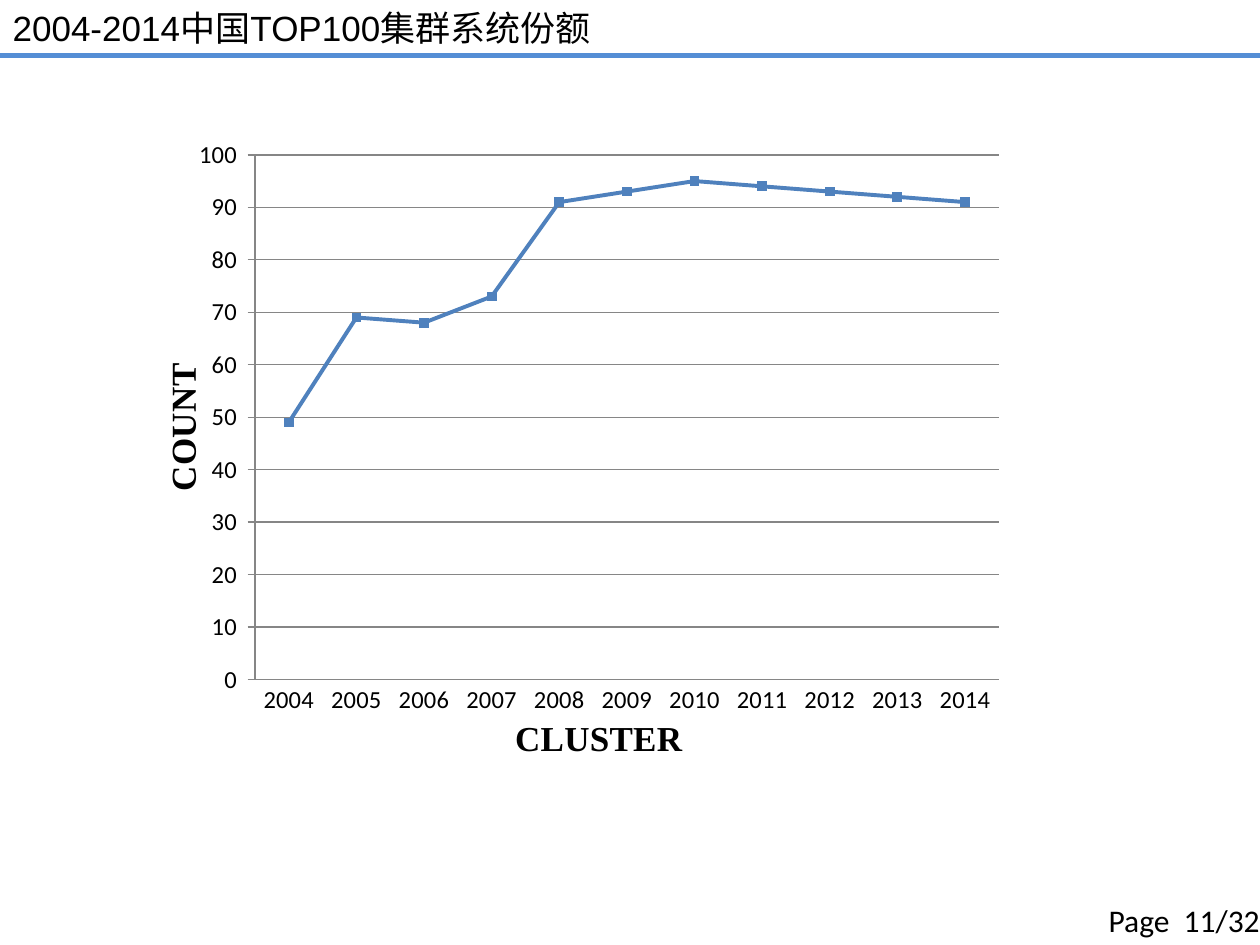
from dataclasses import dataclass
from typing import Any

from lxml import etree
from pptx import Presentation
from pptx.chart.data import CategoryChartData
from pptx.dml.color import RGBColor
from pptx.enum.chart import XL_CHART_TYPE, XL_MARKER_STYLE, XL_TICK_MARK
from pptx.enum.shapes import MSO_CONNECTOR
from pptx.enum.text import MSO_ANCHOR, MSO_AUTO_SIZE, PP_ALIGN
from pptx.oxml import parse_xml
from pptx.oxml.ns import nsdecls, qn
from pptx.util import Cm, Pt

STACKED = XL_CHART_TYPE.LINE_MARKERS_STACKED
SQUARE = XL_MARKER_STYLE.SQUARE
NONE, CROSS = XL_TICK_MARK.NONE, XL_TICK_MARK.CROSS
STRAIGHT = MSO_CONNECTOR.STRAIGHT
MIDDLE, LEFT = MSO_ANCHOR.MIDDLE, PP_ALIGN.LEFT
NO_FIT = MSO_AUTO_SIZE.NONE

BLACK = RGBColor(0x00, 0x00, 0x00)
RULE = RGBColor(0x55, 0x8E, 0xD5)
BLUE = RGBColor(0x4F, 0x81, 0xBD)
GRAY = RGBColor(0x86, 0x86, 0x86)

WIDTH, HEIGHT = Cm(25.4), Cm(19.05)
HEAD = Cm(1.12)
COUNTS = [49, 69, 68, 73, 91, 93, 95, 94, 93, 92, 91]
START = 2004
PLOT = {"x": 0.116, "y": 0.127, "w": 0.852, "h": 0.745}


@dataclass
class AxisLook:
    title: str
    tick: Any
    turn: int  # degrees


def style(font: Any, name: str, size: float, bold: bool = False) -> None:
    font.name, font.size, font.bold = name, Pt(size), bold
    font.color.rgb = BLACK


def draw_line(line: Any, color: RGBColor, width: float) -> None:
    line.color.rgb = color
    line.width = Pt(width)


def dress_axis(axis: Any, look: AxisLook) -> None:
    frame = axis.axis_title.text_frame
    frame.text = look.title
    style(frame.paragraphs[0].runs[0].font, "Times New Roman", 20, True)
    body = axis.axis_title._element.xpath(".//a:bodyPr")[0]
    body.set("rot", str(look.turn * 60000))
    body.set("vert", "horz")
    axis.major_tick_mark, axis.minor_tick_mark = look.tick, NONE
    style(axis.tick_labels.font, "Calibri", 14)
    draw_line(axis.format.line, GRAY, 0.75)


def place_plot(chart: Any) -> None:
    """Fix the inner plot area as fractions of the chart."""
    area = chart._chartSpace.chart.plotArea
    for old in area.findall(qn("c:layout")):
        area.remove(old)
    layout = parse_xml(f"<c:layout {nsdecls('c')}><c:manualLayout/></c:layout>")
    parts = {"layoutTarget": "inner", "xMode": "edge", "yMode": "edge", **PLOT}
    for tag, val in parts.items():
        etree.SubElement(layout[0], qn(f"c:{tag}")).set("val", str(val))
    area.insert(0, layout)


def add_trend(slide: Any) -> None:
    data = CategoryChartData()
    data.categories = [str(START + i) for i in range(len(COUNTS))]
    data.add_series("Series 1", COUNTS)
    chart = slide.shapes.add_chart(
        STACKED, Cm(3.1), Cm(1.32), Cm(17.6), Cm(14.2), data
    ).chart
    chart.has_title = chart.has_legend = False
    style(chart.font, "Calibri", 10)
    place_plot(chart)

    # Axes
    dress_axis(chart.category_axis, AxisLook("CLUSTER", NONE, 0))
    axis = chart.value_axis
    dress_axis(axis, AxisLook("COUNT", CROSS, -90))
    axis.minimum_scale, axis.maximum_scale, axis.major_unit = 0, 100, 10
    axis.tick_labels.number_format = r"0_);[Red]\(0\)"
    axis.tick_labels.number_format_is_linked = False
    axis.has_major_gridlines = True
    draw_line(axis.major_gridlines.format.line, GRAY, 0.75)

    # Series
    plot = chart.plots[0]
    plot.vary_by_categories = False
    series = plot.series[0]
    series.smooth = False
    draw_line(series.format.line, BLUE, 2.25)
    mark = series.marker
    mark.style, mark.size = SQUARE, 5
    mark.format.fill.solid()
    mark.format.fill.fore_color.rgb = BLUE
    draw_line(mark.format.line, BLUE, 0.75)


def main() -> None:
    deck = Presentation()
    deck.slide_width, deck.slide_height = WIDTH, HEIGHT
    slide = deck.slides.add_slide(deck.slide_layouts[5])

    # Title
    title = slide.shapes.title
    title.left, title.top, title.width, title.height = 0, 0, Cm(18.11), HEAD
    frame = title.text_frame
    frame.text = "2004-2014中国TOP100集群系统份额"
    frame.auto_size, frame.vertical_anchor = NO_FIT, MIDDLE
    frame.paragraphs[0].alignment = LEFT
    style(frame.paragraphs[0].runs[0].font, "Arial", 20)

    # Chart
    add_trend(slide)

    # Page number
    box = slide.shapes.add_textbox(Cm(22.1), Cm(18.03), Cm(3.81), Cm(1.02))
    box.text_frame.word_wrap = True
    box.text_frame.text = "Page  11/32"
    style(box.text_frame.paragraphs[0].runs[0].font, "Calibri", 18)

    # Rule under the title
    rule = slide.shapes.add_connector(STRAIGHT, 0, HEAD, WIDTH, HEAD)
    draw_line(rule.line, RULE, 3)
    etree.SubElement(rule._element.spPr, qn("a:effectLst"))

    deck.save("out.pptx")


if __name__ == "__main__":
    main()
